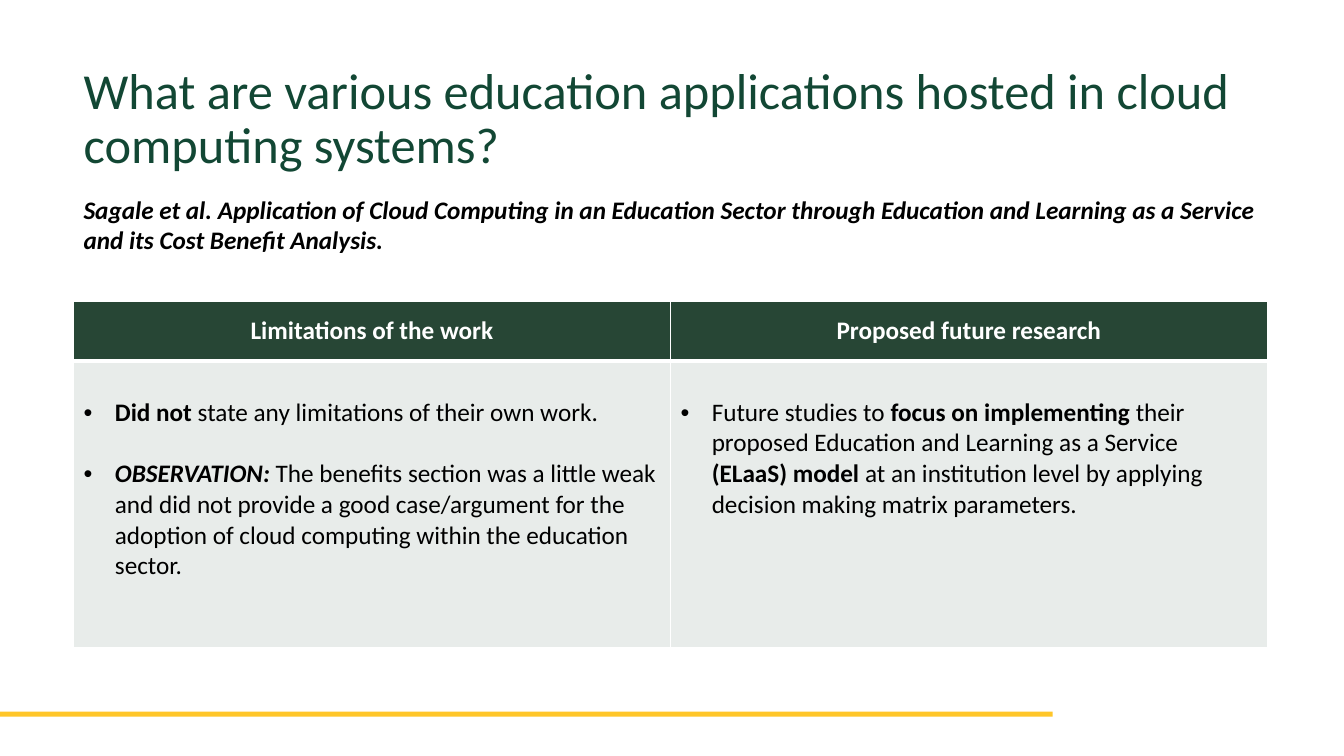
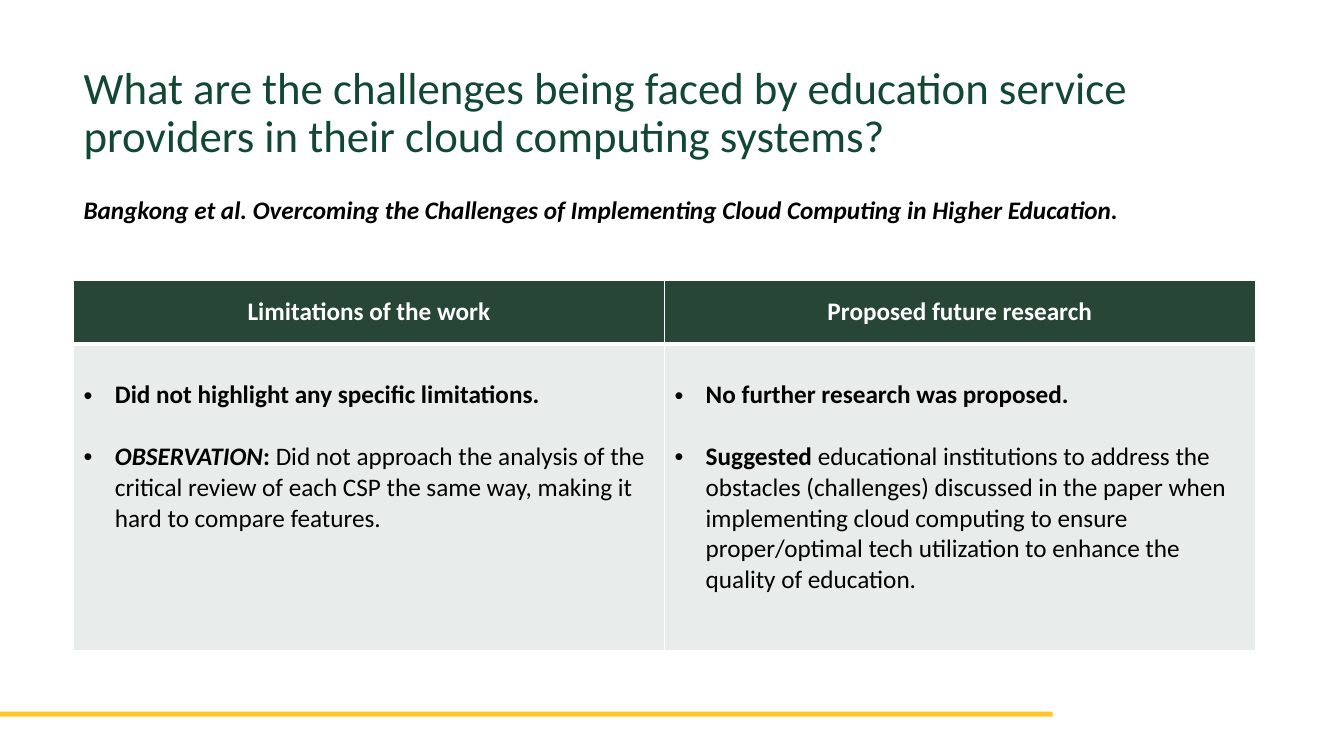
import pptx
import pptx.util
import pptx.dml.color
import pptx.enum.shapes
import pptx.enum.text
import pptx.oxml
import pptx.oxml.ns

Inches = pptx.util.Inches
Pt = pptx.util.Pt
PP_ALIGN = pptx.enum.text.PP_ALIGN
MSO_ANCHOR = pptx.enum.text.MSO_ANCHOR

FONT = "Calibri"
TITLE_GREEN = "124734"
TABLE_GREEN = "274635"
GOLD = "FFC629"
WHITE = "FFFFFF"
BLACK = "000000"
LEFT = 0.73
HEADINGS = ["Limitations of the work", "Proposed future research"]
NAMESPACE = pptx.oxml.ns.nsdecls("a")


def rgb(value):
    return pptx.dml.color.RGBColor.from_string(value)


def add_run(paragraph, text, size, color, style=""):
    run = paragraph.add_run()
    run.text = text
    run.font.name = FONT
    run.font.size = Pt(size)
    run.font.color.rgb = rgb(color)
    run.font.bold = "b" in style
    run.font.italic = "i" in style


reviews = [
    {
        "question": "What are various education applications hosted in cloud computing systems?",
        "question_size": 36,
        "citation": "Sagale et al. Application of Cloud Computing in an Education Sector through "
                    "Education and Learning as a Service and its Cost Benefit Analysis.",
        "citation_height": 0.71,
        "table_top": 2.99,
        "column_width": 5.92,
        "row_heights": [0.59, 2.84],
        "findings": [
            [
                [("Did not", "b"), (" state any limitations of their own work.", "")],
                [("OBSERVATION:", "bi"),
                 (" The benefits section was a little weak and did not provide a good "
                  "case/argument for the adoption of cloud computing within the education "
                  "sector.", "")],
            ],
            [
                [("Future studies to ", ""), ("focus on implementing", "b"),
                 (" their proposed Education and Learning as a Service ", ""),
                 ("(ELaaS) model", "b"),
                 (" at an institution level by applying decision making matrix "
                  "parameters.", "")],
            ],
        ],
    },
    {
        "question": "What are the challenges being faced by education service providers in "
                    "their cloud computing systems?",
        "question_size": 32,
        "citation": "Bangkong et al. Overcoming the Challenges of Implementing Cloud Computing "
                    "in Higher Education.",
        "citation_height": 0.4,
        "table_top": 2.78,
        "column_width": 5.86,
        "row_heights": [0.63, 3.04],
        "findings": [
            [
                [("Did not highlight any specific limitations.", "b")],
                [("OBSERVATION", "bi"), (": ", "b"),
                 ("Did not approach the analysis of the critical review of each CSP the same "
                  "way, making it hard to compare features.", "")],
            ],
            [
                [("No further research was proposed.", "b")],
                [("Suggested", "b"),
                 (" educational institutions to address the obstacles (challenges) discussed "
                  "in the paper when implementing cloud computing to ensure proper/optimal "
                  "tech utilization to enhance the quality of education.", "")],
            ],
        ],
    },
]

deck = pptx.Presentation()
deck.slide_width = Inches(13.33)
deck.slide_height = Inches(7.5)
layout = deck.slide_layouts[5]

for review in reviews:
    slide = deck.slides.add_slide(layout)

    question = slide.shapes.title
    question.left, question.top = Inches(LEFT), Inches(0.6)
    question.width, question.height = Inches(11.87), Inches(0.82)
    question_text = question.text_frame
    question_text.vertical_anchor = MSO_ANCHOR.TOP
    question_text.auto_size = pptx.enum.text.MSO_AUTO_SIZE.NONE
    question_line = question_text.paragraphs[0]
    question_line.alignment = PP_ALIGN.LEFT
    question_line.line_spacing = 0.9
    add_run(question_line, review["question"], review["question_size"], TITLE_GREEN)

    citation = slide.shapes.add_textbox(
        Inches(LEFT), Inches(1.88), Inches(11.89), Inches(review["citation_height"]))
    citation.text_frame.word_wrap = True
    add_run(citation.text_frame.paragraphs[0], review["citation"], 18, BLACK, "bi")

    table = slide.shapes.add_table(
        2, 2, Inches(LEFT), Inches(review["table_top"]),
        Inches(2 * review["column_width"]), Inches(sum(review["row_heights"]))).table
    table.horz_banding = False
    for row, height in zip(table.rows, review["row_heights"]):
        row.height = Inches(height)

    for index, (heading, findings) in enumerate(zip(HEADINGS, review["findings"])):
        table.columns[index].width = Inches(review["column_width"])
        heading_cell = table.cell(0, index)
        findings_cell = table.cell(1, index)

        heading_cell.vertical_anchor = MSO_ANCHOR.MIDDLE
        heading_line = heading_cell.text_frame.paragraphs[0]
        heading_line.alignment = PP_ALIGN.CENTER
        add_run(heading_line, heading, 18, WHITE, "b")

        findings_cell.margin_top = Inches(0.36)
        findings_text = findings_cell.text_frame
        for number, runs in enumerate(findings):
            finding = findings_text.add_paragraph() if number else findings_text.paragraphs[0]
            properties = finding._p.get_or_add_pPr()
            properties.set("marL", str(Inches(0.31)))
            properties.set("indent", str(-Inches(0.31)))
            for bullet in ('<a:buFont %s typeface="Arial"/>', '<a:buChar %s char="•"/>'):
                properties.append(pptx.oxml.parse_xml(bullet % NAMESPACE))
            if number:
                finding.space_before = Pt(22)
            for text, style in runs:
                add_run(finding, text, 18, BLACK, style)

        for cell, top_width, bottom_width in ((heading_cell, 1, 3), (findings_cell, 3, 1)):
            cell.fill.solid()
            cell.fill.fore_color.rgb = rgb(TABLE_GREEN)
            borders = [("lnL", 1), ("lnR", 1), ("lnT", top_width), ("lnB", bottom_width)]
            for position, (side, width) in enumerate(borders):
                cell._tc.get_or_add_tcPr().insert(position, pptx.oxml.parse_xml(
                    f'<a:{side} {NAMESPACE} w="{Pt(width)}"><a:solidFill>'
                    f'<a:srgbClr val="{WHITE}"/></a:solidFill></a:{side}>'))

        tint = findings_cell._tc.tcPr.find(
            pptx.oxml.ns.qn("a:solidFill")).find(pptx.oxml.ns.qn("a:srgbClr"))
        tint.append(pptx.oxml.parse_xml(f'<a:alpha {NAMESPACE} val="10000"/>'))

footer_band = slide.shapes.add_shape(
    pptx.enum.shapes.MSO_SHAPE.RECTANGLE, 0, Inches(7.06), Inches(10.44), Inches(0.05))
footer_band.shadow.inherit = False
footer_band.fill.solid()
footer_band.fill.fore_color.rgb = rgb(GOLD)
footer_band.line.fill.background()
layout.shapes.element.append(footer_band.element)

deck.save("out.pptx")
